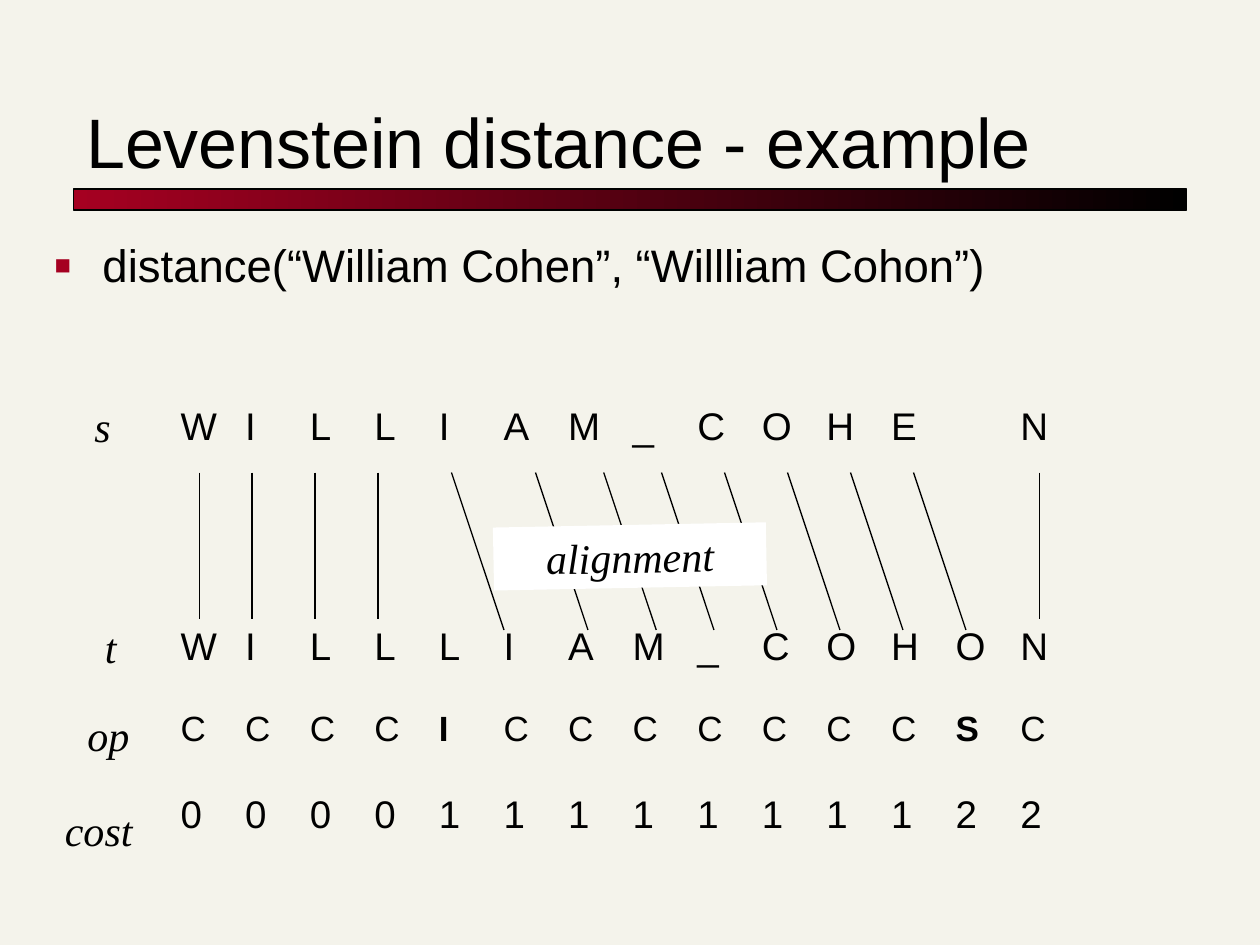
from lxml.etree import SubElement
from pptx import Presentation
from pptx.dml.color import RGBColor
from pptx.enum.shapes import MSO_CONNECTOR as CONNECTOR, MSO_SHAPE as SHAPE
from pptx.enum.text import MSO_ANCHOR as ANCHOR, MSO_AUTO_SIZE as FIT, PP_ALIGN as ALIGN
from pptx.oxml.ns import qn
from pptx.util import Inches, Pt

UNIT = Inches(10) / 120
SANS, SERIF = "Arial", "Times New Roman"
INK, CRIMSON, PAPER, WHITE = "000000", "A50021", "F4F3EB", "FFFFFF"
NO_GRID = "{2D5ABB26-0587-4C30-8999-92F81FD0307C}"

SEQUENCES = [
    ("WILLIAM_COHE N", 22),
    (" " * 14, 22),
    ("WILLLIAM_COHON", 22),
    ("CCCCICCCCCCCSC", 20),
    ("00001111111122", 22),
]
ROW_HEIGHTS = [7, 14, 8, 8, 9]
STRAIGHT_LINKS = [19, 24, 30, 36, 99]
SHIFTED_LINKS = [43, 51, 57.5, 63, 69, 75, 81, 87]
ROW_LABELS = [
    ("s", (7.8, 37.6, 4, 6), ALIGN.LEFT),
    ("t", (8.8, 58.6, 3.5, 6), ALIGN.LEFT),
    ("op", (7.1, 67, 6.4, 6), ALIGN.RIGHT),
    ("cost", (5, 76, 8.8, 6), ALIGN.LEFT),
]


def grid(*counts):
    """Convert counts of the 120 by 90 slide grid to lengths."""
    return [round(count * UNIT) for count in counts]


def colour(value):
    """Turn a hex string into a colour."""
    return RGBColor.from_string(value)


def place(shape, box):
    """Move a placeholder to a grid box."""
    shape.left, shape.top, shape.width, shape.height = grid(*box)


def write(frame, text, size, face=SANS, align=ALIGN.LEFT, bold=False, italic=False):
    """Add one formatted run to the first paragraph of a frame."""
    paragraph = frame.paragraphs[0]
    paragraph.alignment = align
    run = paragraph.add_run()
    run.text = text
    font = run.font
    font.name, font.size, font.bold, font.italic = face, Pt(size), bold, italic
    font.color.rgb = colour(INK)


def add_heading(slide, box):
    """Fill the title placeholder and draw the gradient bar beneath it."""
    left, top, width, height = box
    title = slide.shapes.title
    place(title, box)
    title.text_frame.auto_size = FIT.NONE
    title.text_frame.vertical_anchor = ANCHOR.BOTTOM
    write(title.text_frame, "Levenstein distance - example", 40)
    bar = slide.shapes.add_shape(SHAPE.RECTANGLE, *grid(left, top + height, width, 2))
    bar.shadow.inherit = False
    bar.fill.gradient()
    bar.fill.gradient_angle = 0
    for stop, shade in zip(bar.fill.gradient_stops, (CRIMSON, INK)):
        stop.color.rgb = colour(shade)
    bar.line.color.rgb = colour(INK)
    bar.line.width = Pt(0.75)


def add_question(slide, box):
    """Fill the body placeholder with the square-bulleted question."""
    body = slide.placeholders[1]
    place(body, box)
    frame = body.text_frame
    frame.auto_size = FIT.NONE
    properties = frame.paragraphs[0]._p.get_or_add_pPr()
    properties.set("marL", str(Inches(0.38)))
    properties.set("indent", str(Inches(-0.38)))
    SubElement(SubElement(properties, qn("a:buClr")), qn("a:srgbClr")).set("val", CRIMSON)
    SubElement(properties, qn("a:buSzPct")).set("val", "60000")
    SubElement(properties, qn("a:buFont")).set("typeface", SANS)
    SubElement(properties, qn("a:buChar")).set("char", "■")
    frame.paragraphs[0].space_before = Pt(0)
    write(frame, "distance(“William Cohen”, “Willliam Cohon”)", 26)


def add_sequences(slide, box):
    """Set the two strings, the operations and the costs in a plain table."""
    columns, last_width = len(SEQUENCES[0][0]), 15
    table = slide.shapes.add_table(len(SEQUENCES), columns, *grid(*box)).table
    table.first_row = table.horz_banding = False
    table._tbl.tblPr.find(qn("a:tableStyleId")).text = NO_GRID
    for column in table.columns:
        column.width = grid((box[2] - last_width) / (columns - 1))[0]
    table.columns[columns - 1].width = grid(last_width)[0]
    for row, height, (letters, size) in zip(table.rows, ROW_HEIGHTS, SEQUENCES):
        row.height = grid(height)[0]
        for cell, letter in zip(row.cells, letters):
            cell.fill.background()
            if letter != " ":
                write(cell.text_frame, letter, size, bold=size == 20 and letter in "IS")


def add_link(slide, start, end):
    """Draw a thin line between two grid points."""
    link = slide.shapes.add_connector(CONNECTOR.STRAIGHT, *grid(*start, *end))
    link.line.color.rgb = colour(INK)
    link.line.width = Pt(0.75)
    SubElement(link._element.spPr, qn("a:effectLst"))


def add_alignment(slide, top, box):
    """Link matching letters and lay the tilted caption over the links."""
    for x in STRAIGHT_LINKS:
        add_link(slide, (x, top), (x, top + 14))
    for x in SHIFTED_LINKS:
        add_link(slide, (x, top), (x + 5, top + 15))
    caption = slide.shapes.add_shape(SHAPE.RECTANGLE, *grid(*box))
    caption.rotation = 358.9
    caption.shadow.inherit = False
    caption.fill.solid()
    caption.fill.fore_color.rgb = colour(WHITE)
    caption.line.fill.background()
    caption.text_frame.word_wrap = True
    caption.text_frame.vertical_anchor = ANCHOR.TOP
    write(caption.text_frame, "alignment", 24, SERIF, ALIGN.CENTER, italic=True)


def add_row_label(slide, text, box, align):
    """Name one table row in italics."""
    frame = slide.shapes.add_textbox(*grid(*box)).text_frame
    frame.word_wrap = False
    frame.auto_size = FIT.SHAPE_TO_FIT_TEXT
    write(frame, text, 24, SERIF, align, italic=True)


def main():
    """Build the slide and save it."""
    deck = Presentation()
    deck.slide_width, deck.slide_height = grid(120, 90)
    slide = deck.slides.add_slide(deck.slide_layouts[1])
    slide.background.fill.solid()
    slide.background.fill.fore_color.rgb = colour(PAPER)
    add_heading(slide, (7, 5, 106, 13))
    add_question(slide, (4, 22, 112, 11))
    add_sequences(slide, (16, 38, 95, 46))
    for label in ROW_LABELS:
        add_row_label(slide, *label)
    add_alignment(slide, 45, (47, 50, 26, 6))
    deck.save("out.pptx")


if __name__ == "__main__":
    main()
